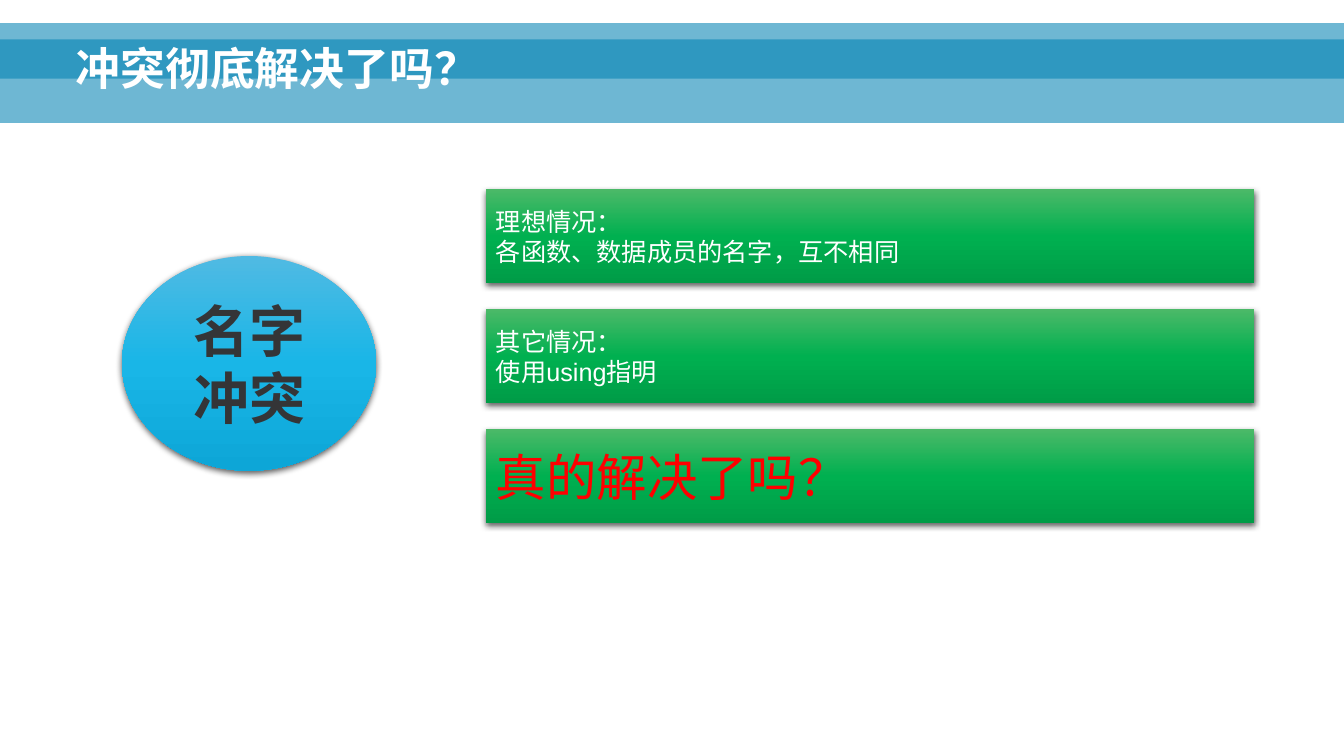
from lxml import etree
from pptx import Presentation
from pptx import util as u
from pptx.dml.color import RGBColor
from pptx.enum import shapes, text
from pptx.oxml.ns import qn

WIDTH, HEIGHT = 13.33, 7.5
FONT = "Arial"
COLORS = {"band": "0082B3", "white": "FFFFFF", "dark": "343537",
          "red": "FF0000", "shadow": "000000"}
GRADIENTS = {"blue": ("50BAE3", "19B6E7", "0DA6D7"),
             "green": ("4BB968", "00B050", "009C47")}

TITLE = "冲突彻底解决了吗？"
TOPIC = "名字冲突"
CASES = [
    (["理想情况：", "各函数、数据成员的名字，互不相同"], 18, "white"),
    (["其它情况：", "使用using指明"], 18, "white"),
    (["真的解决了吗？"], 36, "red"),
]
BANDS = [(0.39, 0.83), (0.23, 0.55)]
CASE_LEFT, CASE_TOP, CASE_WIDTH, CASE_HEIGHT, CASE_STEP = 4.82, 1.88, 7.62, 0.93, 1.19


def place(shape, left, top, width, height):
    shape.left, shape.top = u.Inches(left), u.Inches(top)
    shape.width, shape.height = u.Inches(width), u.Inches(height)


def add_plain_shape(slide, kind, box):
    shape = slide.shapes.add_shape(kind, *map(u.Inches, box))
    shape.line.fill.background()
    shape.shadow.inherit = False
    return shape


def add_color(parent, color, opacity):
    node = etree.SubElement(parent, qn("a:srgbClr"), val=color)
    etree.SubElement(node, qn("a:alpha"), val=str(opacity * 1000))


def add_band(slide, top, height):
    band = add_plain_shape(slide, shapes.MSO_SHAPE.RECTANGLE, (0, top, WIDTH, height))
    band.fill.solid()
    band.fill.fore_color.rgb = RGBColor.from_string(COLORS["band"])
    color = band.fill._xPr.find(qn("a:solidFill"))[0]
    etree.SubElement(color, qn("a:alpha"), val="57000")


def add_glossy_shape(slide, kind, box, gradient):
    shape = add_plain_shape(slide, kind, box)
    shape.fill.gradient()
    shape.fill.gradient_angle = 270
    properties = shape._element.spPr
    stops = properties.find(".//" + qn("a:gsLst"))
    for stop in list(stops):
        stops.remove(stop)
    for index, color in enumerate(GRADIENTS[gradient]):
        stop = etree.SubElement(stops, qn("a:gs"), pos=str(index * 50000))
        add_color(stop, color, 100)
    shadow = etree.SubElement(
        properties.find(qn("a:effectLst")), qn("a:outerShdw"),
        blurRad=str(u.Pt(4.5)), dist=str(u.Pt(1.5)), dir="5400000", rotWithShape="0")
    add_color(shadow, COLORS["shadow"], 63)
    return shape


def write(shape, lines, size, color, align, anchor, bold=False):
    frame = shape.text_frame
    frame.word_wrap = True
    frame.vertical_anchor = anchor
    paragraph = frame.paragraphs[0]
    paragraph.alignment = align
    for index, line in enumerate(lines):
        if index:
            paragraph.add_line_break()
        run = paragraph.add_run()
        run.text = line
        run.font.name = FONT
        run.font.size = u.Pt(size)
        run.font.bold = bold
        run.font.color.rgb = RGBColor.from_string(COLORS[color])
    return paragraph


def main():
    presentation = Presentation()
    presentation.slide_width = u.Inches(WIDTH)
    presentation.slide_height = u.Inches(HEIGHT)
    slide = presentation.slides.add_slide(presentation.slide_layouts[5])
    left, center = text.PP_ALIGN.LEFT, text.PP_ALIGN.CENTER
    middle, bottom = text.MSO_ANCHOR.MIDDLE, text.MSO_ANCHOR.BOTTOM

    for top, height in BANDS:
        add_band(slide, top, height)

    title = slide.shapes.title
    slide.shapes._spTree.append(title._element)
    place(title, 0.65, 0.12, 11.98, 0.87)
    heading = write(title, [TITLE], 32, "white", left, bottom, bold=True)
    heading.line_spacing = 0.9

    topic = add_glossy_shape(slide, shapes.MSO_SHAPE.OVAL, (1.21, 2.54, 2.52, 2.13), "blue")
    write(topic, [TOPIC], 40, "dark", center, middle, bold=True)

    for row, (lines, size, color) in enumerate(CASES):
        box = (CASE_LEFT, CASE_TOP + row * CASE_STEP, CASE_WIDTH, CASE_HEIGHT)
        case = add_glossy_shape(slide, shapes.MSO_SHAPE.RECTANGLE, box, "green")
        write(case, lines, size, color, left, middle)

    presentation.save("out.pptx")


if __name__ == "__main__":
    main()
